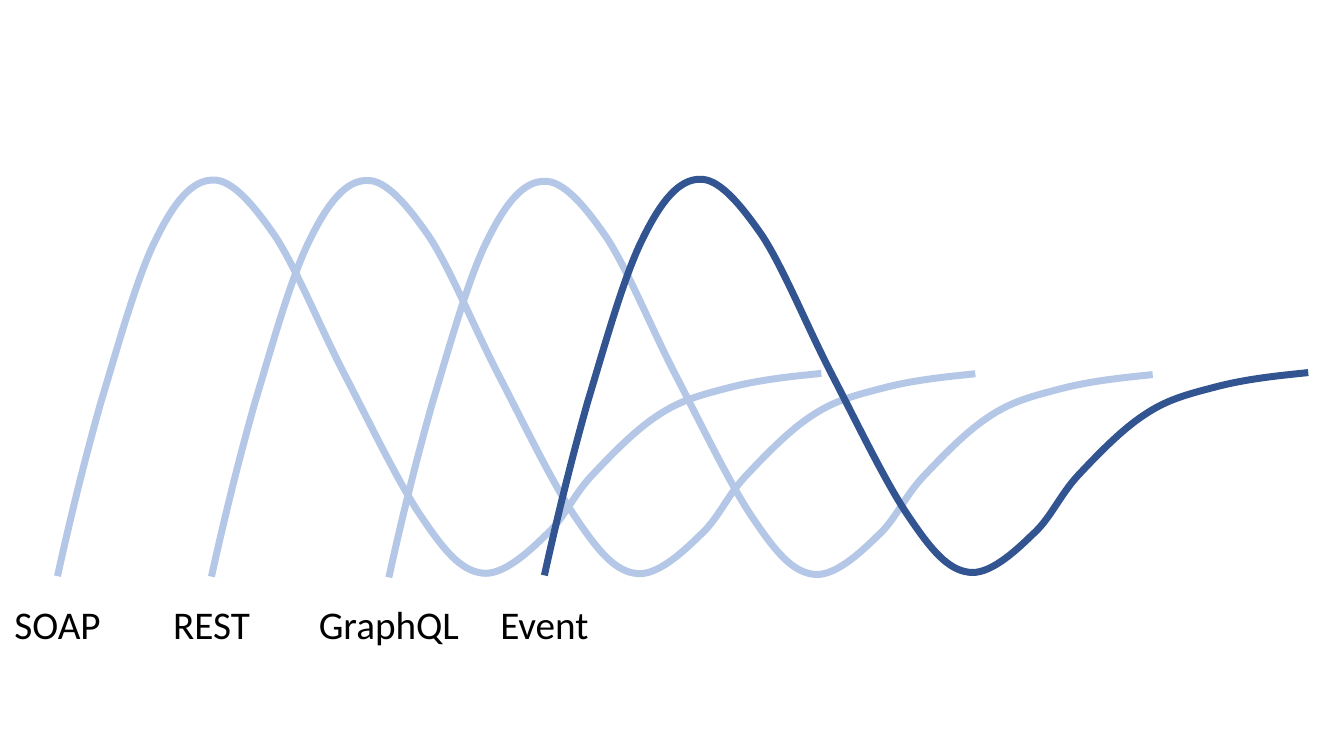
from lxml import etree
from pptx import Presentation
from pptx.dml.color import RGBColor
from pptx.enum.text import MSO_AUTO_SIZE, PP_ALIGN
from pptx.oxml.ns import qn
from pptx.util import Cm, Pt

CENTER = PP_ALIGN.CENTER
GROW = MSO_AUTO_SIZE.SHAPE_TO_FIT_TEXT
COLORS = {"past": "B4C7E7", "now": "325491", "text": "000000"}

# Hype curve in cm, right of and above its start: two handles and a knot per row.
CURVE = [
    (0.33, 1.5), (0.69, 2.95), (1.09, 4.37),
    (1.52, 5.79), (2.01, 7.57), (2.49, 8.51),
    (2.95, 9.45), (3.4, 9.98), (3.91, 9.98),
    (4.39, 10.01), (4.93, 9.37), (5.49, 8.56),
    (6.02, 7.75), (6.6, 6.32), (7.21, 5.13),
    (7.82, 3.96), (8.61, 2.31), (9.19, 1.47),
    (9.75, 0.64), (10.16, 0.15), (10.69, 0.08),
    (11.2, 0), (11.84, 0.58), (12.29, 1.02),
    (12.75, 1.42), (12.98, 2.01), (13.44, 2.51),
    (13.92, 3.02), (14.53, 3.66), (15.11, 4.04),
    (15.67, 4.42), (16.15, 4.55), (16.92, 4.75),
    (17.68, 4.95), (18.47, 5.03), (19.25, 5.11),
]

# Name, start x, start y, label width (cm), colour; back to front.
WAVES = [
    ("GraphQL", 9.8, 14.55, 4.09, "past"),
    ("REST", 5.33, 14.53, 2.46, "past"),
    ("SOAP", 1.45, 14.52, 2.72, "past"),
    ("Event", 13.72, 14.5, 2.77, "now"),
]
LABEL_TOP, LABEL_HEIGHT = 15, 1.45


def bend(shape):
    """Turn each three line segments of a freeform into one Bézier curve."""
    steps = list(shape.element.iter(qn("a:lnTo")))
    for i in range(0, len(steps), 3):
        cubic = etree.SubElement(steps[i].getparent(), qn("a:cubicBezTo"))
        for step in steps[i:i + 3]:
            cubic.append(step[0])
            step.getparent().remove(step)


def add_wave(slide, x, y, color):
    pen = slide.shapes.build_freeform(Cm(x), Cm(y))
    pen.add_line_segments(
        [(Cm(x + dx), Cm(y - up)) for dx, up in CURVE], close=False)
    wave = pen.convert_to_shape()
    bend(wave)
    wave.shadow.inherit = False
    wave.fill.background()
    wave.line.color.rgb = RGBColor.from_string(COLORS[color])
    wave.line.width = Pt(5)


def add_label(slide, name, x, width):
    """Write the name centred below the start of its wave."""
    box = slide.shapes.add_textbox(
        Cm(x - width / 2), Cm(LABEL_TOP), Cm(width), Cm(LABEL_HEIGHT))
    frame = box.text_frame
    frame.word_wrap = False
    frame.auto_size = GROW
    para = frame.paragraphs[0]
    para.text = name
    para.alignment = CENTER
    para.font.name = "Calibri"
    para.font.size = Pt(28)
    para.font.color.rgb = RGBColor.from_string(COLORS["text"])


def main():
    deck = Presentation()
    deck.slide_width, deck.slide_height = Cm(33.87), Cm(19.05)
    slide = deck.slides.add_slide(deck.slide_layouts[6])
    for name, x, y, width, color in WAVES:
        add_wave(slide, x, y, color)
    for name, x, y, width, color in WAVES:
        add_label(slide, name, x, width)
    deck.save("out.pptx")


if __name__ == "__main__":
    main()
